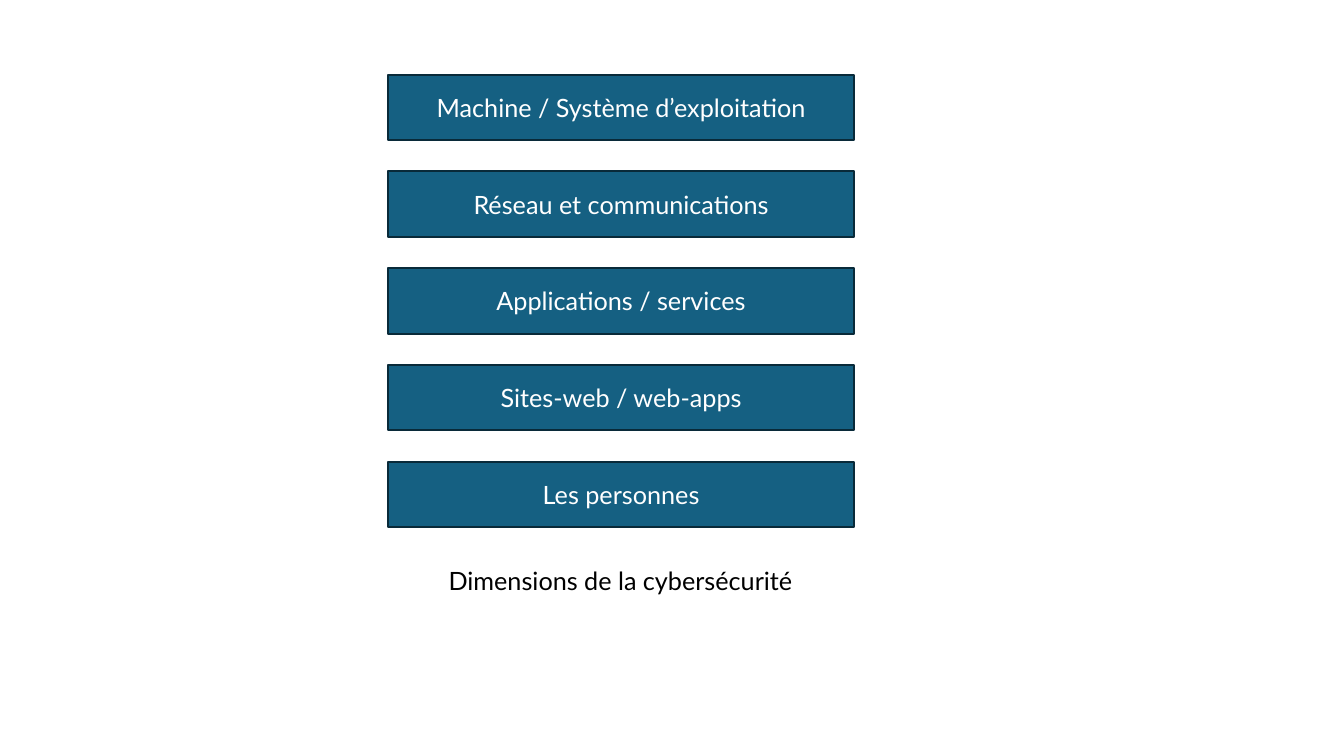
from pptx import Presentation
from pptx.dml.color import RGBColor
from pptx.enum.shapes import MSO_SHAPE as Shape
from pptx.enum.text import MSO_ANCHOR as Anchor, MSO_AUTO_SIZE as AutoSize, PP_ALIGN as Align
from pptx.util import Inches, Pt

DIMENSIONS = [
    "Machine / Système d’exploitation",
    "Réseau et communications",
    "Applications / services",
    "Sites-web / web-apps",
    "Les personnes",
]
CAPTION = "Dimensions de la cybersécurité"
BAR_HEIGHT = 0.65
BAR_STEP = 0.96
FONT = {"name": "Lato", "size": Pt(18)}


def color(hex_code):
    return RGBColor.from_string(hex_code)


def write(frame, text, hex_code, align):
    para = frame.paragraphs[0]
    para.alignment = align
    span = para.add_run()
    span.text = text
    for name, value in FONT.items():
        setattr(span.font, name, value)
    span.font.color.rgb = color(hex_code)


def add_bar(page, text, left, top, width, height):
    bar = page.shapes.add_shape(
        Shape.RECTANGLE, Inches(left), Inches(top), Inches(width), Inches(height))
    bar.shadow.inherit = False
    bar.fill.solid()
    bar.fill.fore_color.rgb = color("156082")
    bar.line.color.rgb = color("092A39")
    bar.line.width = Pt(1.5)
    bar.text_frame.vertical_anchor = Anchor.MIDDLE
    write(bar.text_frame, text, "FFFFFF", Align.CENTER)


def add_stack(page, left, top, width):
    for index, text in enumerate(DIMENSIONS):
        add_bar(page, text, left, top + index * BAR_STEP, width, BAR_HEIGHT)


def add_caption(page, left, top, width, height):
    box = page.shapes.add_textbox(
        Inches(left), Inches(top), Inches(width), Inches(height))
    box.text_frame.word_wrap = False
    box.text_frame.auto_size = AutoSize.SHAPE_TO_FIT_TEXT
    write(box.text_frame, CAPTION, "000000", Align.LEFT)


def main():
    deck = Presentation()
    deck.slide_width, deck.slide_height = Inches(13.33), Inches(7.5)
    page = deck.slides.add_slide(deck.slide_layouts[6])
    add_stack(page, 3.85, 0.74, 4.62)
    add_caption(page, 4.35, 5.56, 3.62, 0.4)
    deck.save("out.pptx")


if __name__ == "__main__":
    main()
